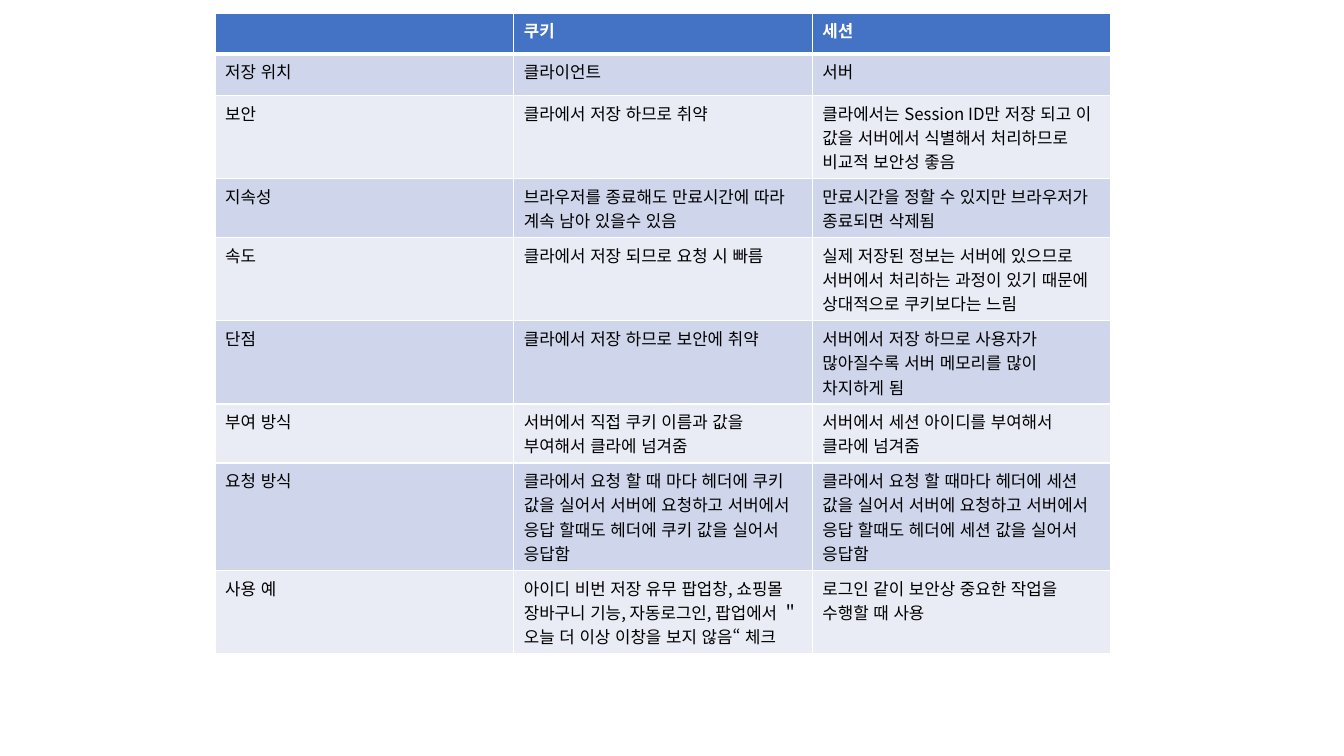
"""Build a slide with a table that compares cookies and sessions."""
from lxml import etree
from pptx import Presentation
from pptx.dml.color import RGBColor
from pptx.enum.lang import MSO_LANGUAGE_ID
from pptx.oxml.ns import qn
from pptx.util import Pt

KOREAN = MSO_LANGUAGE_ID.KOREAN
COLORS = {"head": "4472C4", "odd": "CFD5EA", "even": "E9EBF5",
          "white": "FFFFFF", "black": "000000"}
FONT = "Noto Sans CJK KR"
ROWS = [
    ("", "쿠키", "세션"),
    ("저장 위치", "클라이언트", "서버"),
    ("보안", "클라에서 저장 하므로 취약",
     "클라에서는 Session ID만 저장 되고 이 값을 서버에서 식별해서 처리하므로 비교적 보안성 좋음"),
    ("지속성", "브라우저를 종료해도 만료시간에 따라 계속 남아 있을수 있음",
     "만료시간을 정할 수 있지만 브라우저가 종료되면 삭제됨"),
    ("속도", "클라에서 저장 되므로 요청 시 빠름",
     "실제 저장된 정보는 서버에 있으므로 서버에서 처리하는 과정이 있기 때문에 상대적으로 쿠키보다는 느림"),
    ("단점", "클라에서 저장 하므로 보안에 취약",
     "서버에서 저장 하므로 사용자가 많아질수록 서버 메모리를 많이 차지하게 됨"),
    ("부여 방식", "서버에서 직접 쿠키 이름과 값을 부여해서 클라에 넘겨줌",
     "서버에서 세션 아이디를 부여해서 클라에 넘겨줌"),
    ("요청 방식",
     "클라에서 요청 할 때 마다 헤더에 쿠키 값을 실어서 서버에 요청하고 서버에서 응답 할때도 헤더에 쿠키 값을 실어서 응답함",
     "클라에서 요청 할 때마다 헤더에 세션 값을 실어서 서버에 요청하고 서버에서 응답 할때도 헤더에 세션 값을 실어서 응답함"),
    ("사용 예",
     "아이디 비번 저장 유무 팝업창, 쇼핑몰 장바구니 기능, 자동로그인, 팝업에서 ＂오늘 더 이상 이창을 보지 않음“ 체크",
     "로그인 같이 보안상 중요한 작업을 수행할 때 사용"),
]
HEIGHTS = [29.5] * 7 + [32.4] * 2


class Deck:
    """Hold the style and the current slide."""

    def __init__(self, width, height):
        """Open a deck with one blank slide."""
        self.deck = Presentation()
        self.deck.slide_width, self.deck.slide_height = Pt(width), Pt(height)
        self.slide = self.deck.slides.add_slide(self.deck.slide_layouts[6])
        self.font = {"name": FONT, "size": Pt(12), "language_id": KOREAN}

    def table(self, left, top, width, height, rows, heights):
        """Add a banded table with a header row."""
        frame = self.slide.shapes.add_table(
            len(rows), len(rows[0]), Pt(left), Pt(top), Pt(width), Pt(height))
        grid = frame.table
        for y, (texts, tall) in enumerate(zip(rows, heights)):
            grid.rows[y].height = Pt(tall)
            band = "head" if y == 0 else "odd" if y % 2 else "even"
            for x, text in enumerate(texts):
                cell = grid.cell(y, x)
                self.text(cell, text, band == "head")
                cell.fill.solid()
                cell.fill.fore_color.rgb = RGBColor.from_string(COLORS[band])
                self.edges(cell, {"L": 1, "R": 1, "T": 3 if y == 1 else 1,
                                  "B": 3 if y == 0 else 1})
        frame.height = Pt(height)

    def text(self, cell, text, head):
        """Write styled text, or size the empty line."""
        para = cell.text_frame.paragraphs[0]
        if not text:
            etree.SubElement(para._p, qn("a:endParaRPr"), lang="ko-KR", sz="1200")
            return
        run = para.add_run()
        run.text = text
        for name, value in {**self.font, "bold": head}.items():
            setattr(run.font, name, value)
        tone = COLORS["white" if head else "black"]
        run.font.color.rgb = RGBColor.from_string(tone)
        etree.SubElement(run.font._element, qn("a:ea"), typeface=FONT)

    def edges(self, cell, sides):
        """Draw white cell borders of the given widths."""
        props = cell._tc.get_or_add_tcPr()
        for spot, (side, width) in enumerate(sides.items()):
            line = etree.Element(qn("a:ln" + side), w=str(Pt(width)))
            fill = etree.SubElement(line, qn("a:solidFill"))
            etree.SubElement(fill, qn("a:srgbClr"), val=COLORS["white"])
            props.insert(spot, line)

    def save(self):
        """Save the deck."""
        self.deck.save("out.pptx")


deck = Deck(960, 540)
deck.table(153.7, 9.3, 639.9, 411.1, ROWS, HEIGHTS)
deck.save()
